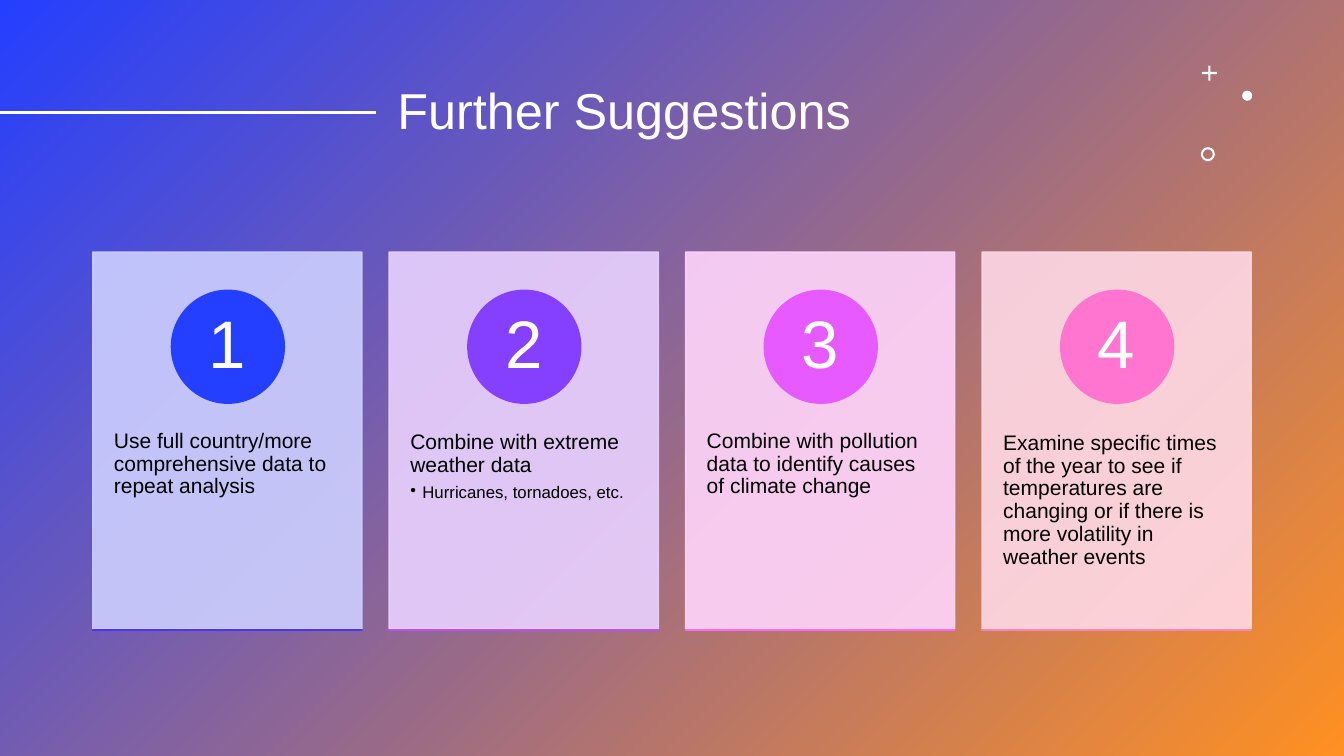
from lxml import etree
from pptx import Presentation
from pptx import util as u
from pptx.dml.color import RGBColor
from pptx.enum import shapes, text
from pptx.oxml.ns import qn

PX = 9144
KIND = shapes.MSO_SHAPE
MID = text.MSO_ANCHOR.MIDDLE
LEFT, CENTER = text.PP_ALIGN.LEFT, text.PP_ALIGN.CENTER

CARDS = [
    ("243FFF", "CDCFFF", "4A32FF",
     "Use full country/more comprehensive data to repeat analysis", None),
    ("853FFF", "E9D1FF", "BA4DFF",
     "Combine with extreme weather data", "Hurricanes, tornadoes, etc."),
    ("E75AFF", "FFD5FB", "FF68F0",
     "Combine with pollution data to identify causes of climate change", None),
    ("FF75D0", "FFD9E6", "FF83B6",
     "Examine specific times of the year to see if temperatures are changing "
     "or if there is more volatility in weather events", None),
]


def px(n):
    return u.Emu(n * PX)


def rgb(code):
    return RGBColor.from_string(code)


def assign(item, **form):
    for key, value in form.items():
        setattr(item, key, value)


def fade(fill, share):
    for tone in fill._xPr.iter(qn("a:srgbClr")):
        etree.SubElement(tone, qn("a:alpha")).set("val", str(share * 1000))


class Deck:
    font = "Arial"
    white = "FFFFFF"
    black = "000000"

    def __init__(self, wide, high):
        self.file = Presentation()
        assign(self.file, slide_width=px(wide), slide_height=px(high))
        self.slide = self.file.slides.add_slide(self.file.slide_layouts[5])
        self.items = self.slide.shapes

    def shape(self, kind, box, color, edge=None, alpha=None, adjust=None):
        item = self.items.add_shape(kind, *map(px, box))
        item.shadow.inherit = False
        item.fill.solid()
        item.fill.fore_color.rgb = rgb(color)
        if adjust is not None:
            item.adjustments[0] = adjust
        if edge:
            item.line.color.rgb = rgb(color)
            item.line.width = u.Pt(edge)
        else:
            item.line.fill.background()
        if alpha:
            fade(item.fill, alpha)
        return item

    def blend(self, box, start, end):
        item = self.shape(KIND.RECTANGLE, box, start)
        item.fill.gradient()
        item.fill.gradient_angle = 315
        for stop, color, place in zip(item.fill.gradient_stops, (start, end), (0, 1)):
            stop.color.rgb = rgb(color)
            stop.position = place

    def line(self, start, end, color, width):
        item = self.items.add_connector(
            shapes.MSO_CONNECTOR.STRAIGHT, *map(px, start + end))
        item.line.color.rgb = rgb(color)
        item.line.width = u.Pt(width)
        etree.SubElement(item._element.spPr, qn("a:effectLst"))

    def words(self, para, words, size, color, align=LEFT, after=0):
        assign(para, alignment=align, line_spacing=0.9,
               space_before=u.Pt(0), space_after=u.Pt(after))
        run = para.add_run()
        run.text = words
        assign(run.font, name=self.font, size=u.Pt(size))
        run.font.color.rgb = rgb(color)

    def title(self, box, words):
        item = self.items.title
        assign(item, **dict(zip(("left", "top", "width", "height"), map(px, box))))
        frame = item.text_frame
        assign(frame, word_wrap=True, vertical_anchor=MID,
               auto_size=text.MSO_AUTO_SIZE.NONE)
        self.words(frame.paragraphs[0], words, 36, self.white)

    def label(self, box, words, size, color, inset, align=LEFT,
              anchor=text.MSO_ANCHOR.TOP):
        frame = self.items.add_textbox(*map(px, box)).text_frame
        side, edge = map(px, inset)
        assign(frame, word_wrap=True, vertical_anchor=anchor, margin_left=side,
               margin_right=side, margin_top=edge, margin_bottom=edge)
        self.words(frame.paragraphs[0], words, size, color, align, 0.35 * size)
        return frame

    def bullet(self, frame, words, size):
        para = frame.add_paragraph()
        para.level = 1
        self.words(para, words, size, self.black, after=0.15 * size)
        form = para._p.get_or_add_pPr()
        form.set("marL", str(px(12)))
        form.set("indent", str(px(-12)))
        etree.SubElement(form, qn("a:buChar")).set("char", "•")

    def card(self, num, left, main, pale, base, words, note):
        top, wide = 250, 267
        panel = self.shape(KIND.RECTANGLE, (left, top, wide, 374), pale, 1, 90)
        fade(panel.line.fill, 90)
        frame = self.label((left, top + 143, wide, 225), words, 15,
                           self.black, (21, 36))
        if note:
            self.bullet(frame, note, 12)
        self.shape(KIND.OVAL, (left + 78, top + 38, 112, 112), main, 1)
        self.label((left + 94, top + 54, 79, 79), str(num), 48, self.white,
                   (9, 1), CENTER, MID)
        self.shape(KIND.RECTANGLE, (left, top + 375, wide, 0), base, 1)


def main():
    deck = Deck(1333, 750)
    deck.blend((0, 0, 1333, 750), "243FFF", "FF9022")
    deck.title((384, 40, 783, 145), "Further Suggestions")
    title = deck.items.title._element
    title.getparent().append(title)
    deck.shape(KIND.CROSS, (1192, 65, 15, 15), deck.white, adjust=0.43)
    deck.shape(KIND.OVAL, (1232, 90, 10, 10), deck.white)
    deck.line((0, 112), (373, 112), deck.white, 2)
    deck.shape(KIND.DONUT, (1191, 146, 14, 14), deck.white, adjust=0.15)
    for i, card in enumerate(CARDS):
        deck.card(i + 1, 92 + 294 * i, *card)
    deck.file.save("out.pptx")


if __name__ == "__main__":
    main()
